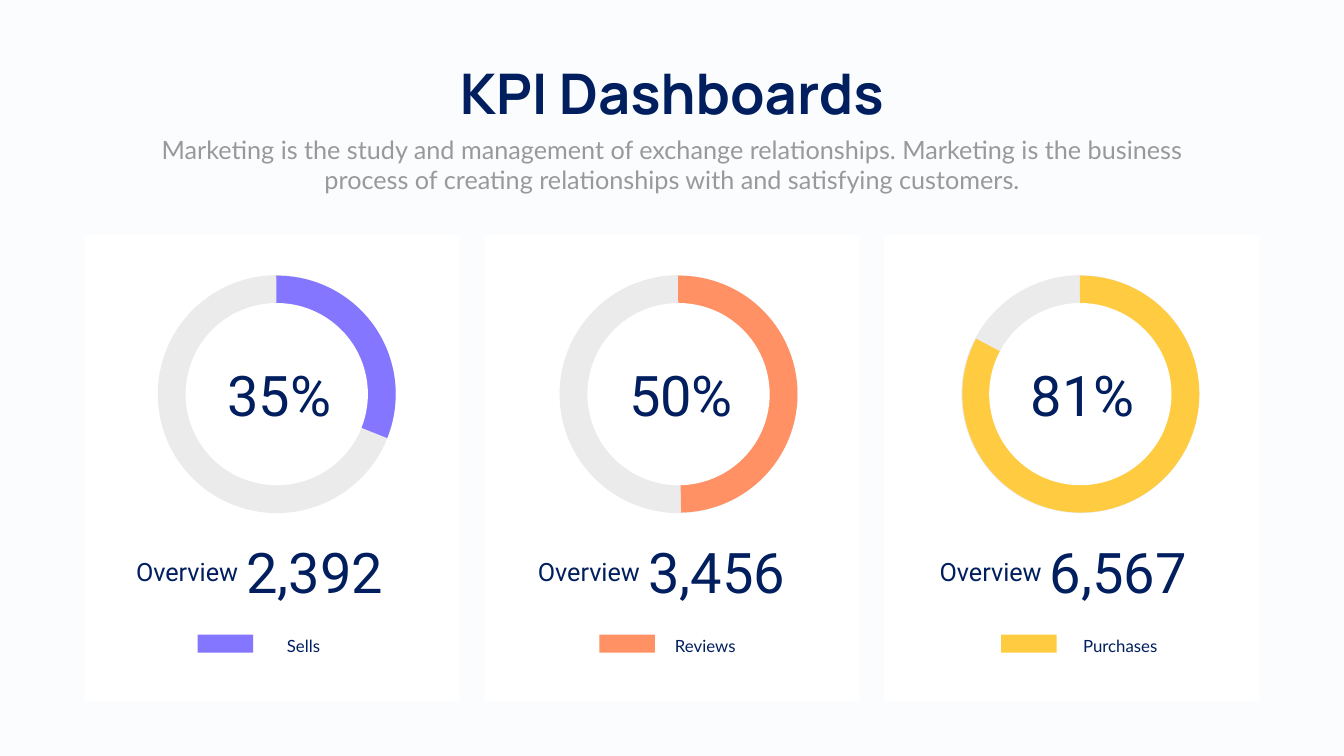
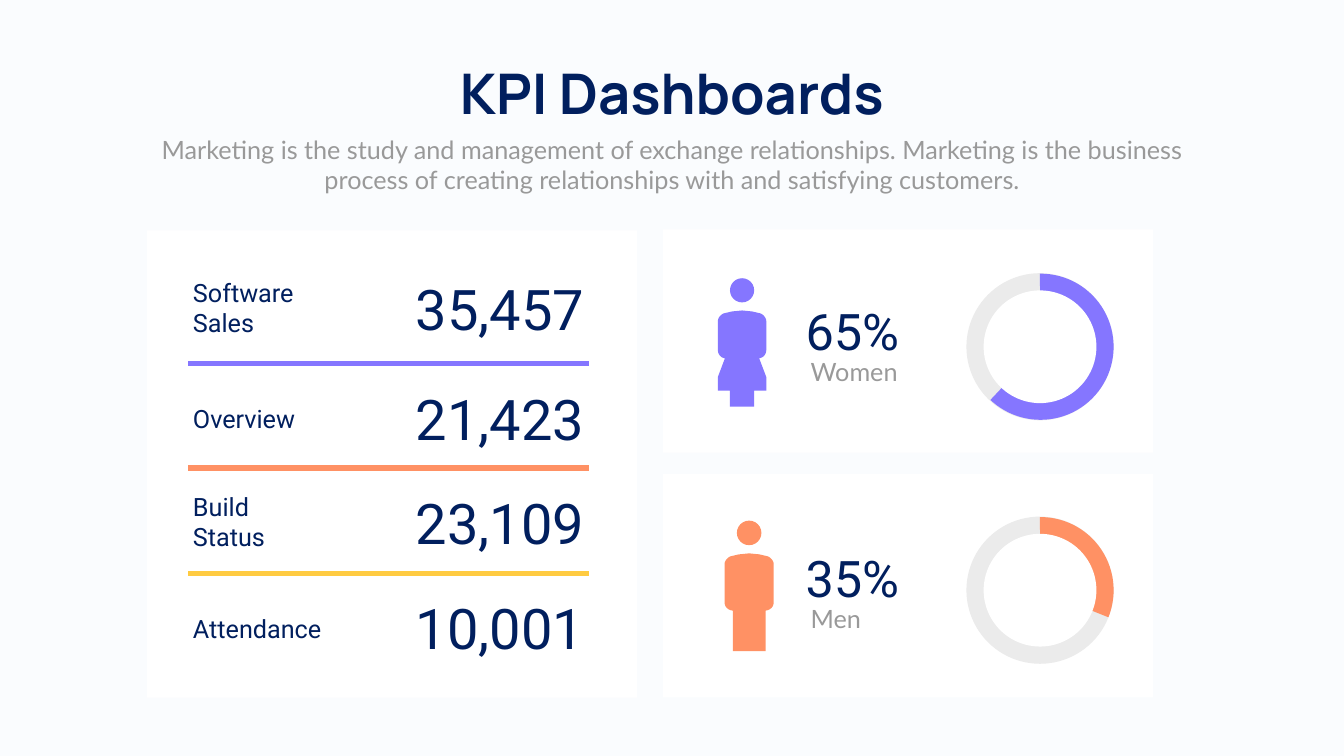
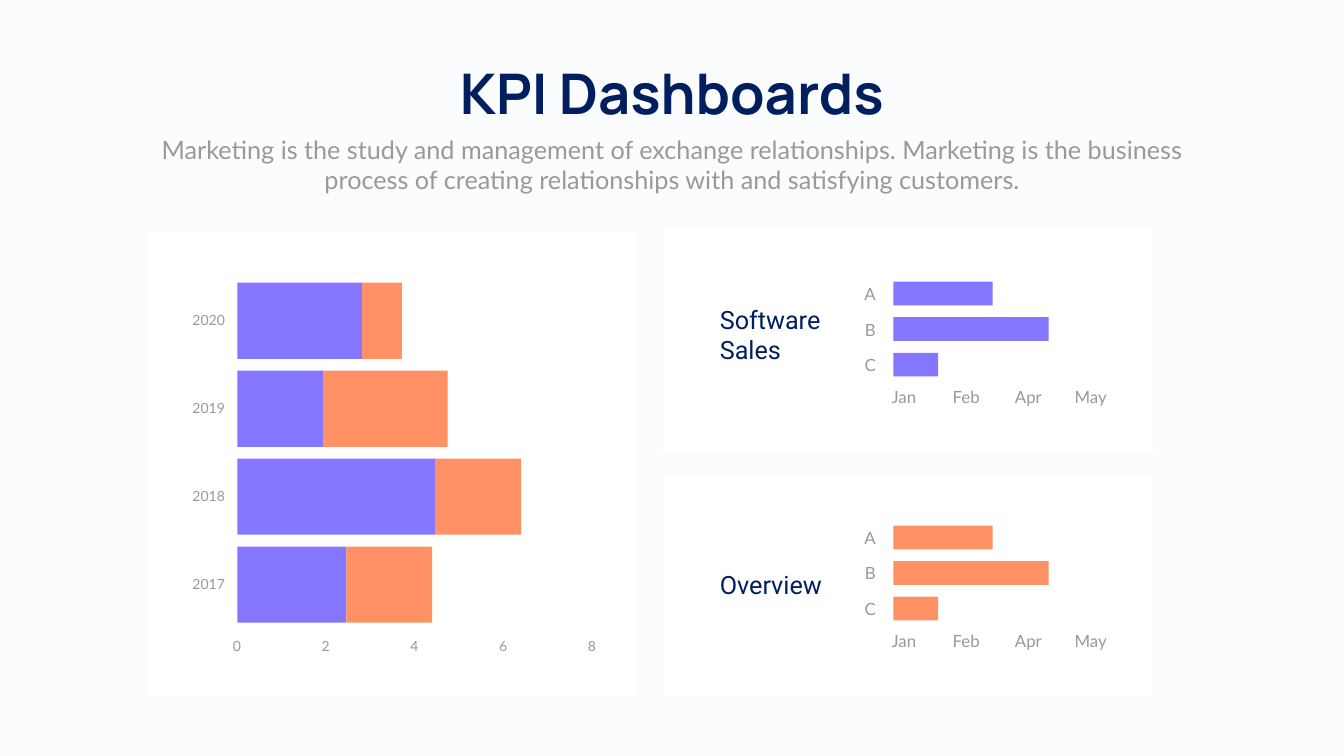
from lxml.etree import SubElement
from pptx import Presentation
from pptx.dml.color import RGBColor
from pptx.enum.shapes import MSO_CONNECTOR, MSO_SHAPE
from pptx.enum.text import MSO_AUTO_SIZE, PP_ALIGN
from pptx.oxml.ns import qn
from pptx.util import Inches, Pt

# Grid: every column and row is one inch
COLS, ROWS = 26.66, 15

NAVY = RGBColor(0x01, 0x1F, 0x5E)
GREY = RGBColor(0x99, 0x99, 0x99)
TRACK = RGBColor(0xEB, 0xEB, 0xEB)
WHITE = RGBColor(0xFF, 0xFF, 0xFF)
PAPER = RGBColor(0xFA, 0xFC, 0xFE)
VIOLET = RGBColor(0x85, 0x76, 0xFF)
ORANGE = RGBColor(0xFF, 0x91, 0x64)
YELLOW = RGBColor(0xFF, 0xCB, 0x41)

TITLE = "KPI Dashboards"
INTRO = ("Marketing is the study and management of exchange relationships. "
         "Marketing is the business process of creating relationships with "
         "and satisfying customers.")
LEFT, CENTER, RIGHT = PP_ALIGN.LEFT, PP_ALIGN.CENTER, PP_ALIGN.RIGHT


def write(tf, text, font="Roboto", size=36, color=NAVY, bold=False,
          align=LEFT, wrap=True):
    """Fill a text frame, one paragraph per line of text."""
    tf.word_wrap = wrap
    tf.auto_size = MSO_AUTO_SIZE.SHAPE_TO_FIT_TEXT
    tf.text = text
    for p in tf.paragraphs:
        p.alignment = align
        for r in p.runs:
            r.font.name, r.font.size, r.font.bold = font, Pt(size), bold
            r.font.color.rgb = color


def curve(a, b, c, d, steps=6):
    """Points on a cubic curve from a to d, without a itself."""
    return [tuple((1 - t) ** 3 * i + 3 * (1 - t) ** 2 * t * j
                  + 3 * (1 - t) * t ** 2 * k + t ** 3 * m
                  for i, j, k, m in zip(a, b, c, d))
            for t in (n / steps for n in range(1, steps + 1))]


class Deck:
    def __init__(self):
        self.prs = Presentation()
        self.prs.slide_width, self.prs.slide_height = Inches(COLS), Inches(ROWS)

    def slide(self):
        self.s = self.prs.slides.add_slide(self.prs.slide_layouts[6])
        fill = self.s.background.fill
        fill.solid()
        fill.fore_color.rgb = PAPER
        self.text(8.67, 1.12, 9.32, 1.45, TITLE, font="Manrope", size=80,
                  bold=True, align=CENTER, wrap=False)
        self.text(2.92, 2.61, 20.82, 1.31, INTRO, font="Lato", color=GREY,
                  align=CENTER)

    def text(self, x, y, w, h, text, **fmt):
        sp = self.s.shapes.add_textbox(*map(Inches, (x, y, w, h)))
        write(sp.text_frame, text, **fmt)

    def paint(self, sp, color):
        sp.shadow.inherit = False
        sp.fill.solid()
        sp.fill.fore_color.rgb = color
        sp.line.fill.background()
        return sp

    def shape(self, x, y, w, h, color=WHITE, kind=MSO_SHAPE.RECTANGLE):
        sp = self.s.shapes.add_shape(kind, *map(Inches, (x, y, w, h)))
        return self.paint(sp, color)

    def rule(self, x1, x2, y, color):
        sp = self.s.shapes.add_connector(MSO_CONNECTOR.STRAIGHT,
                                         *map(Inches, (x1, y, x2, y)))
        sp.line.color.rgb, sp.line.width = color, Pt(8)
        SubElement(sp._element.spPr, qn("a:effectLst"))

    def ring(self, x, y, d, end, color):
        """Progress ring from the top clockwise to the angle end (degrees)."""
        hole = d * 0.766
        inset = (d - hole) / 2
        self.shape(x, y, d, d, TRACK, MSO_SHAPE.OVAL)
        pie = self.shape(x + 0.02, y + 0.01, d - 0.02, d - 0.02, color,
                         MSO_SHAPE.PIE)
        pie.adjustments[0], pie.adjustments[1] = 269.52 * 0.6, end * 0.6
        self.shape(x + inset, y + inset, hole, hole, WHITE, MSO_SHAPE.OVAL)

    def person(self, cx, top, scale, arm, legs, color):
        """Head and a body mirrored about cx; arm is where the hand begins."""
        head = 0.48 * scale
        self.shape(cx - head / 2, top, head, head, color, MSO_SHAPE.OVAL)
        half = [(0, 0), (0.2, 0.02), (0.37, 0.06)]
        half += curve(half[-1], (0.43, 0.09), (0.48, 0.15), (0.48, 0.21))
        half += [(0.48, arm)]
        half += curve(half[-1], (0.48, arm + 0.08), (0.42, arm + 0.15),
                      (legs[0][0], arm + 0.16))
        half += legs[1:]
        outline = half + [(-x, y) for x, y in reversed(half[1:])]
        points = [(Inches(cx + x * scale), Inches(top + (0.64 + y) * scale))
                  for x, y in outline]
        builder = self.s.shapes.build_freeform(*points[0])
        builder.add_line_segments(points[1:], close=True)
        self.paint(builder.convert_to_shape(), color)

    def panels(self):
        """One tall panel on the left, two stacked on the right."""
        self.shape(2.92, 4.57, 9.72, 9.27)
        for y in (4.55, 9.41):
            self.shape(13.15, y, 9.72, 4.43)


def progress_slide(d):
    cards = [("35%", 21.79, "2,392", "Sells", 1.46, VIOLET),
             ("50%", 88.99, "3,456", "Reviews", 1.46, ORANGE),
             ("81%", 207.9, "6,567", "Purchases", 1.98, YELLOW)]
    d.slide()
    for i, (share, end, total, name, name_w, color) in enumerate(cards):
        d.shape(1.68 + i * 7.93, 4.66, 7.44, 9.27)
        x = i * 7.97
        d.ring(x + 3.13, 5.46, 4.72, end, color)
        d.text(x + 4.04, 7.11, 3, 1.45, share, size=80, align=CENTER)
        d.text(x + 2.6, 10.99, 5.6, 0.71, "Overview")
        d.text(x + 4.74, 10.62, 3.01, 1.45, total, size=80, align=CENTER,
               wrap=False)
        # Legend
        d.shape(x + 3.92, 12.59, 1.1, 0.36, color)
        d.text(x + 5.29, 12.56, name_w, 0.5, name, font="Lato", size=24,
               align=CENTER)


def audience_slide(d):
    d.slide()
    d.panels()
    # Key figures
    figures = [("Software\nSales", "35,457", 5.4), ("Overview", "21,423", 7.57),
               ("Build\nStatus", "23,109", 9.64), ("Attendance", "10,001", 11.72)]
    for label, value, y in figures:
        dy, h = (0.05, 1.31) if "\n" in label else (0.39, 0.71)
        d.text(3.73, y + dy, 5.6, h, label)
        d.text(5.84, y, 5.85, 1.45, value, size=80, align=RIGHT)
    for y, color in ((7.21, VIOLET), (9.28, ORANGE), (11.38, YELLOW)):
        d.rule(3.73, 11.69, y, color)
    # Women and men
    skirt = [(0.34, 0.95), (0.48, 1.32), (0.48, 1.59), (0.24, 1.59), (0.24, 1.91)]
    trousers = [(0.32, 1.12), (0.32, 1.91)]
    d.person(14.72, 5.52, 1, 0.79, skirt, VIOLET)
    d.person(14.86, 10.33, 1.015, 0.96, trousers, ORANGE)
    for share, name, y, ring_y, end, color in (
            ("65%", "Women", 5.91, 5.42, 133.27, VIOLET),
            ("35%", "Men", 10.81, 10.25, 21.79, ORANGE)):
        d.text(15.88, y, 2.51, 1.31, share, size=72)
        d.text(15.98, y + 1.12, 2.01, 0.73, name, font="Lato", color=GREY)
        d.ring(19.17, ring_y, 2.92, end, color)


def bars_slide(d):
    d.slide()
    d.panels()
    axis = dict(font="Lato", color=GREY)
    # Stacked bars by year
    years = [("2020", 2.47, 0.79), ("2019", 1.7, 2.47),
             ("2018", 3.93, 1.7), ("2017", 2.16, 1.7)]
    for i, (year, first, second) in enumerate(years):
        y = 5.61 + i * 1.745
        d.shape(4.71, y, first, 1.51, VIOLET)
        d.shape(4.71 + first, y, second, 1.51, ORANGE)
        d.text(3.61, 6.14 + i * 1.74, 0.95, 0.44, year, size=20, align=RIGHT,
               **axis)
    for i in range(5):
        d.text(4.28 + i * 1.76, 12.59, 0.84, 0.44, str(2 * i), size=20,
               align=CENTER, **axis)
    # Small bar panels
    d.text(14.18, 5.98, 3.29, 1.31, "Software\nSales")
    d.text(14.18, 11.25, 5.6, 0.71, "Overview")
    for top, color in ((5.58, VIOLET), (10.42, ORANGE)):
        for i, (letter, w) in enumerate((("A", 1.97), ("B", 3.08), ("C", 0.89))):
            y = top + i * 0.705
            d.text(16.96, y, 0.51, 0.5, letter, size=24, align=RIGHT, **axis)
            d.shape(17.72, y + 0.01, w, 0.47, color)
        for i, month in enumerate(("Jan", "Feb", "Apr", "May")):
            d.text(17.39 + i * 1.235, top + 2.04, 1.08, 0.39, month, size=24,
                   align=CENTER, **axis)


def main():
    d = Deck()
    progress_slide(d)
    audience_slide(d)
    bars_slide(d)
    d.prs.save("out.pptx")


if __name__ == "__main__":
    main()
